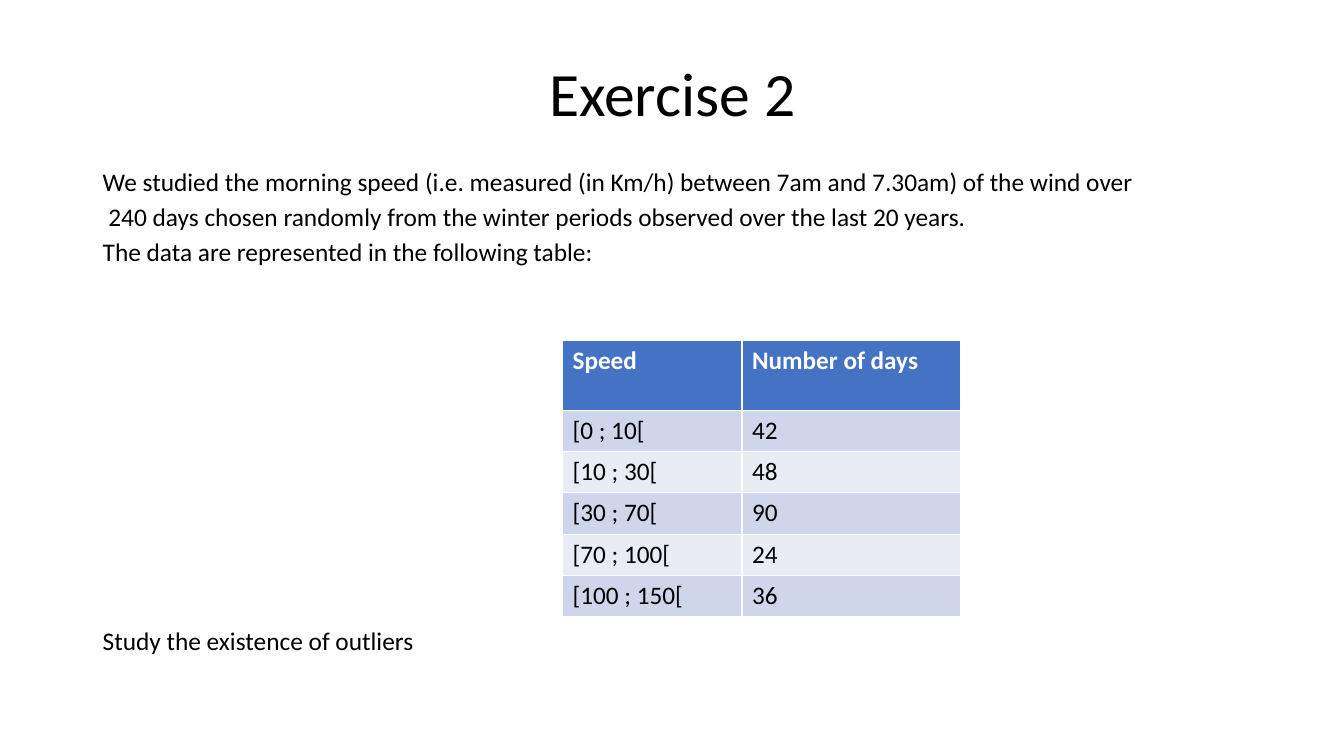
from pptx import Presentation
from pptx.dml.color import RGBColor
from pptx.enum.text import MSO_ANCHOR, PP_ALIGN
from pptx.util import Inches, Pt

TITLE = "Exercise 2"
INTRO = [
    "We studied the morning speed (i.e. measured (in Km/h) between 7am and 7.30am) of the wind over",
    " 240 days chosen randomly from the winter periods observed over the last 20 years.",
    "The data are represented in the following table:",
]
QUESTION = "Study the existence of outliers"
SPEEDS = [
    ("Speed", "Number of days"),
    ("[0 ; 10[", "42"),
    ("[10 ; 30[", "48"),
    ("[30 ; 70[", "90"),
    ("[70 ; 100[", "24"),
    ("[100 ; 150[", "36"),
]
COLORS = {
    "text": "000000",
    "header_text": "FFFFFF",
    "header": "4472C4",
    "odd": "CFD5EA",
    "even": "E9EBF5",
}
FONT = "Calibri"
MARGIN, CONTENT_WIDTH = 0.92, 11.5
TITLE_TOP, TITLE_HEIGHT, BODY_HEIGHT = 0.23, 1.45, 5.3
TABLE_LEFT, TABLE_TOP = 5.58, 3.38
COLUMN_WIDTHS = (1.78, 2.17)
HEADER_HEIGHT, ROW_HEIGHT = 0.69, 0.41
LINE_GAP, QUESTION_GAP = 10, 262


def color(name):
    return RGBColor.from_string(COLORS[name])


def style(para, size, color_name="text", bold=False):
    para.font.name = FONT
    para.font.size = Pt(size)
    para.font.bold = bold
    para.font.color.rgb = color(color_name)


def add_title(page):
    title = page.shapes.title
    title.left, title.top = Inches(MARGIN), Inches(TITLE_TOP)
    title.width, title.height = Inches(CONTENT_WIDTH), Inches(TITLE_HEIGHT)
    title.text_frame.text = TITLE
    title.text_frame.vertical_anchor = MSO_ANCHOR.MIDDLE
    para = title.text_frame.paragraphs[0]
    para.alignment = PP_ALIGN.CENTER
    para.line_spacing = 0.9
    style(para, 44)


def add_body(page):
    box = page.shapes.add_textbox(
        Inches(MARGIN), Inches(TITLE_TOP + TITLE_HEIGHT),
        Inches(CONTENT_WIDTH), Inches(BODY_HEIGHT))
    frame = box.text_frame
    frame.word_wrap = True
    gaps = [0] + [LINE_GAP] * (len(INTRO) - 1) + [QUESTION_GAP]
    for index, (text, gap) in enumerate(zip(INTRO + [QUESTION], gaps)):
        para = frame.add_paragraph() if index else frame.paragraphs[0]
        para.text = text
        para.line_spacing = 0.7
        para.space_before = Pt(gap)
        style(para, 18.1)


def add_speed_table(page):
    heights = [HEADER_HEIGHT] + [ROW_HEIGHT] * (len(SPEEDS) - 1)
    table = page.shapes.add_table(
        len(SPEEDS), len(COLUMN_WIDTHS), Inches(TABLE_LEFT), Inches(TABLE_TOP),
        Inches(sum(COLUMN_WIDTHS)), Inches(sum(heights))).table
    for column, width in zip(table.columns, COLUMN_WIDTHS):
        column.width = Inches(width)
    for index, (row, height) in enumerate(zip(table.rows, heights)):
        row.height = Inches(height)
        header = index == 0
        fill = "header" if header else "odd" if index % 2 else "even"
        for cell, text in zip(row.cells, SPEEDS[index]):
            cell.text = text
            cell.fill.solid()
            cell.fill.fore_color.rgb = color(fill)
            style(cell.text_frame.paragraphs[0], 18,
                  "header_text" if header else "text", header)


def main():
    deck = Presentation()
    deck.slide_width, deck.slide_height = Inches(13.33), Inches(7.5)
    page = deck.slides.add_slide(deck.slide_layouts[5])
    add_title(page)
    add_body(page)
    add_speed_table(page)
    deck.save("out.pptx")


if __name__ == "__main__":
    main()
